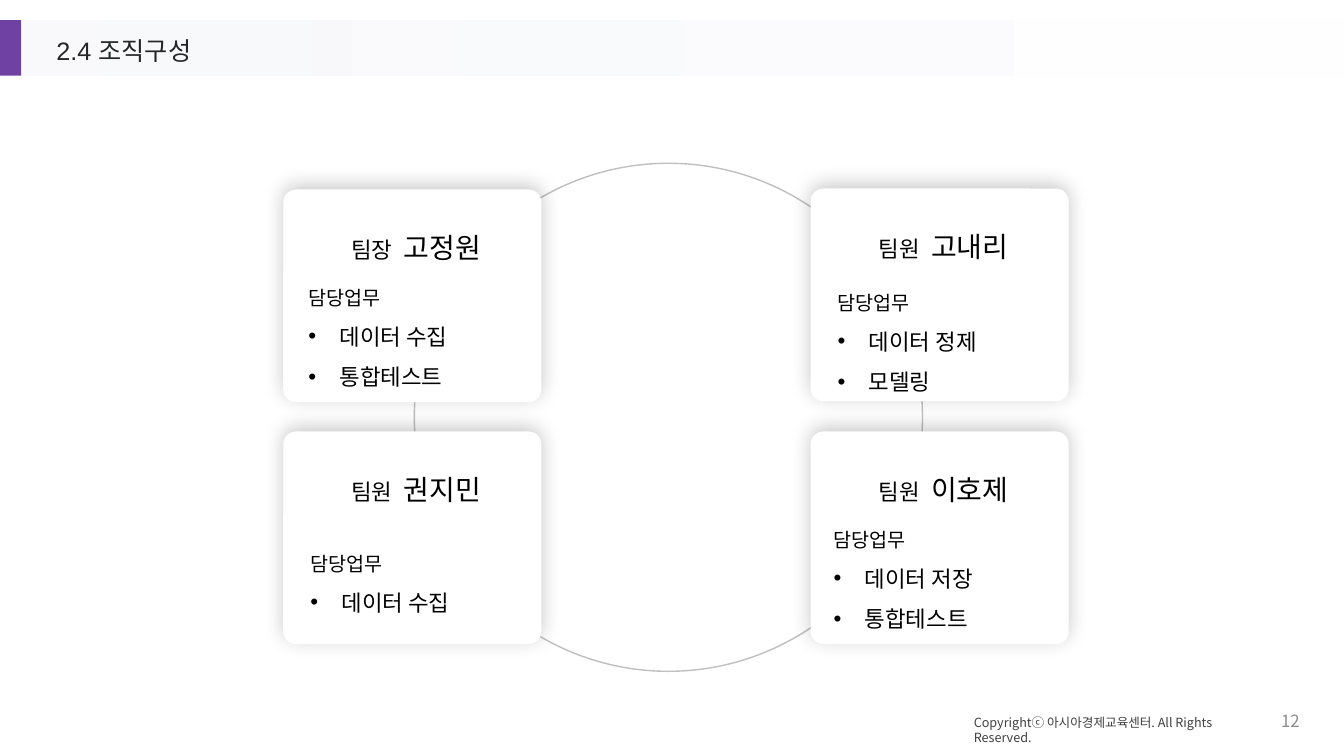
"""Build the team organisation slide."""
from dataclasses import dataclass

from lxml.etree import SubElement
from pptx import Presentation
from pptx.dml.color import RGBColor
from pptx.enum.shapes import MSO_SHAPE
from pptx.enum.text import MSO_ANCHOR, MSO_AUTO_SIZE, PP_ALIGN
from pptx.oxml import parse_xml
from pptx.oxml.ns import nsdecls, qn
from pptx.util import Emu, Pt

PX = 9144
SANS = "Noto Sans CJK KR"
BLACK = "000000"
CARD_W, CARD_H = 256, 211


@dataclass
class Member:
    left: int
    top: int
    role: str
    name: str
    duty_left: int
    duty_top: int
    tasks: tuple[str, ...]


MEMBERS = [
    Member(281, 188, "팀장", "고정원", 296, 267, ("데이터 수집", "통합테스트")),
    Member(804, 187, "팀원", "고내리", 821, 272, ("데이터 정제", "모델링")),
    Member(281, 428, "팀원", "권지민", 298, 531, ("데이터 수집",)),
    Member(804, 428, "팀원", "이호제", 817, 507, ("데이터 저장", "통합테스트")),
]


def px(n: int) -> Emu:
    return Emu(n * PX)


def rgb(color: str) -> RGBColor:
    return RGBColor.from_string(color)


def add_shape(s, kind, x: int, y: int, w: int, h: int, fill: str = "", line: str = ""):
    sp = s.shapes.add_shape(kind, px(x), px(y), px(w), px(h))
    sp.shadow.inherit = False
    if fill:
        sp.fill.solid()
        sp.fill.fore_color.rgb = rgb(fill)
    else:
        sp.fill.background()
    if line:
        sp.line.color.rgb = rgb(line)
        sp.line.width = Pt(1)
    else:
        sp.line.fill.background()
    return sp


def add_run(p, text: str, size: int, color: str = BLACK, font: str = SANS):
    r = p.add_run()
    r.text = text
    r.font.size = Pt(size)
    r.font.name = font
    r.font.color.rgb = rgb(color)
    SubElement(r.font._element, qn("a:ea")).set("typeface", SANS)
    return r


def add_text(s, x: int, y: int, w: int, h: int, grow: bool = True):
    tf = s.shapes.add_textbox(px(x), px(y), px(w), px(h)).text_frame
    tf.word_wrap = True
    if grow:
        tf.auto_size = MSO_AUTO_SIZE.SHAPE_TO_FIT_TEXT
    return tf


def add_bullet(p) -> None:
    pPr = p._p.get_or_add_pPr()
    pPr.set("marL", str(px(31)))
    pPr.set("indent", str(-px(31)))
    SubElement(pPr, qn("a:buFont")).set("typeface", "Arial")
    SubElement(pPr, qn("a:buChar")).set("char", "•")


def add_card_shadow(sp) -> None:
    effects = sp._element.spPr.find(qn("a:effectLst"))
    effects.append(parse_xml(
        f'<a:outerShdw {nsdecls("a")} blurRad="{Pt(15)}" dist="{Pt(3)}" dir="16200000" '
        'rotWithShape="0"><a:srgbClr val="000000"><a:alpha val="21000"/></a:srgbClr>'
        '</a:outerShdw>'))


def add_member(s, m: Member) -> None:
    card = add_shape(s, MSO_SHAPE.ROUNDED_RECTANGLE, m.left, m.top, CARD_W, CARD_H, "FFFFFF")
    card.adjustments[0] = 0.06
    add_card_shadow(card)

    p = add_text(s, m.left + 17, m.top + 19, 230, 61).paragraphs[0]
    p.alignment = PP_ALIGN.CENTER
    p.line_spacing = 1.5
    add_run(p, m.role, 16)
    add_run(p, " ", 18).font._element.set("spc", "400")
    add_run(p, m.name, 20)

    tf = add_text(s, m.duty_left, m.duty_top, 230, 50 + 36 * len(m.tasks))
    p = tf.paragraphs[0]
    p.line_spacing = 1.5
    add_run(p, "담당업무", 14)
    for task in m.tasks:
        p = tf.add_paragraph()
        p.line_spacing = 1.5
        add_bullet(p)
        add_run(p, task, 16)


def add_header(s) -> None:
    band = add_shape(s, MSO_SHAPE.RECTANGLE, 21, 20, 1312, 55)
    band.fill.gradient()
    band.fill.gradient_angle = 0
    first, last = band.fill.gradient_stops
    first.color.rgb, last.color.rgb = rgb("F6F7FB"), rgb("FFFFFF")
    first.position, last.position = 0, 1
    tint = band._element.spPr.find(".//" + qn("a:srgbClr"))
    SubElement(tint, qn("a:alpha")).set("val", "58000")
    add_shape(s, MSO_SHAPE.RECTANGLE, 0, 20, 21, 55, "6F41A2")

    title = s.shapes.title
    title.left, title.top, title.width, title.height = px(46), px(33), px(303), px(39)
    tf = title.text_frame
    tf.vertical_anchor = MSO_ANCHOR.TOP
    tf.auto_size = MSO_AUTO_SIZE.NONE
    p = tf.paragraphs[0]
    p.alignment = PP_ALIGN.LEFT
    p.line_spacing = 0.9
    add_run(p, "2.4 조직구성", 18, "262626", "Arial")
    s.shapes._spTree.append(title._element)


def add_footer(s) -> None:
    p = add_text(s, 956, 704, 306, 25).paragraphs[0]
    add_run(p, "Copyrightⓒ 아시아경제교육센터. All Rights Reserved.", 9, "404040")
    tf = add_text(s, 1237, 695, 62, 40, grow=False)
    tf.vertical_anchor = MSO_ANCHOR.MIDDLE
    p = tf.paragraphs[0]
    p.alignment = PP_ALIGN.RIGHT
    add_run(p, "12", 12, "8C8C8C")


def main() -> None:
    prs = Presentation()
    prs.slide_width, prs.slide_height = px(1333), px(750)
    s = prs.slides.add_slide(prs.slide_layouts[5])
    add_header(s)
    add_shape(s, MSO_SHAPE.OVAL, 411, 162, 504, 504, line="BFBFBF")
    for member in MEMBERS:
        add_member(s, member)
    add_footer(s)
    prs.save("out.pptx")


if __name__ == "__main__":
    main()
